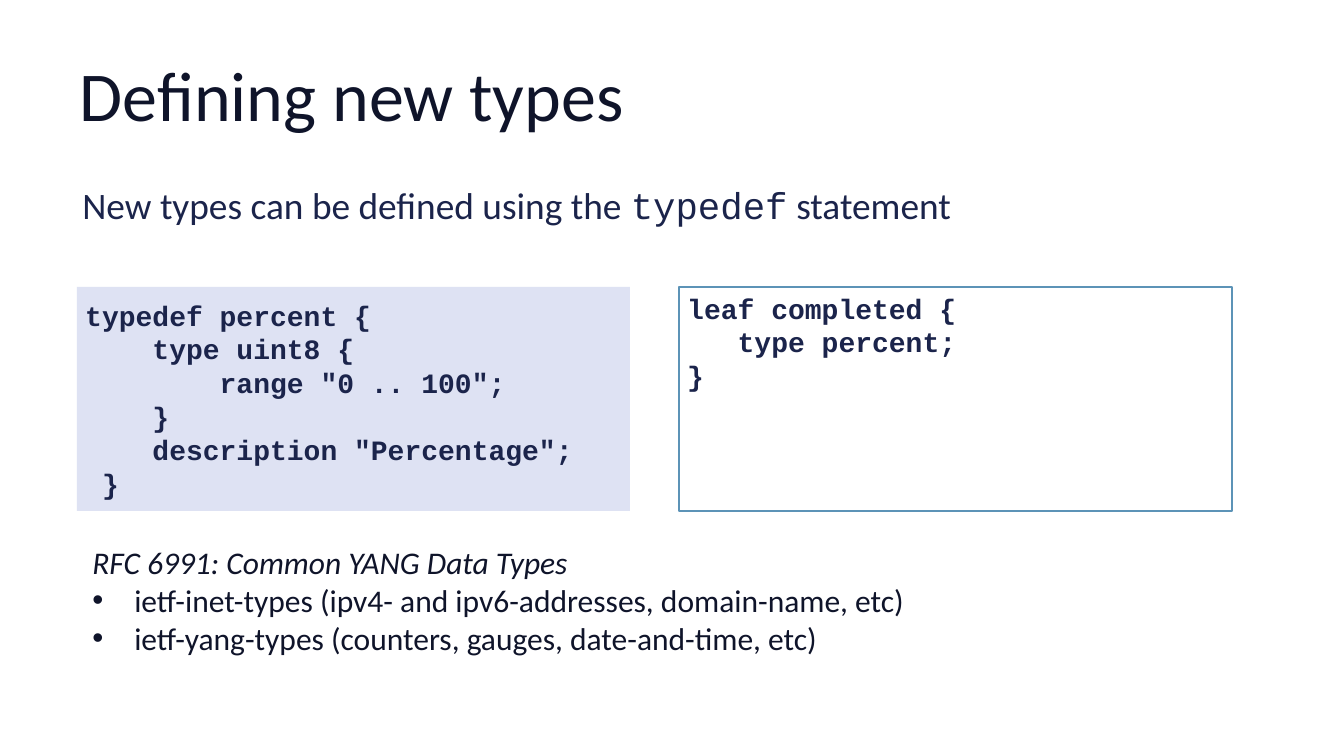
import pptx
import pptx.dml.color
import pptx.enum.shapes
import pptx.enum.text
import pptx.oxml.xmlchemy
import pptx.util
from lxml import etree

Pt = pptx.util.Pt
ANCHOR = pptx.enum.text.MSO_ANCHOR
COLOURS = {"dark": "0F142A", "navy": "1B244B", "pale": "DEE2F3", "border": "5C93B7"}
SANS, MONO = "Calibri", "Courier New"
DRAWING = "{http://schemas.openxmlformats.org/drawingml/2006/main}"

TYPEDEF_CODE = """typedef percent {
    type uint8 {
        range "0 .. 100";
    }
    description "Percentage";
 }"""
LEAF_CODE = """leaf completed {
   type percent;
}"""


def rgb(name):
    return pptx.dml.color.RGBColor.from_string(COLOURS[name])


class SlideBuilder:
    def __init__(self, slide):
        self.slide = slide

    def style_run(self, run, size, colour, face=SANS, bold=False, italic=False):
        font = run.font
        font.name, font.size = face, Pt(size)
        font.bold, font.italic = bold, italic
        font.color.rgb = rgb(colour)

    def set_frame(self, frame, anchor, inset_x=7.2, inset_y=3.6):
        frame.word_wrap = True
        frame.auto_size = pptx.enum.text.MSO_AUTO_SIZE.NONE
        frame.vertical_anchor = anchor
        frame.margin_left = frame.margin_right = Pt(inset_x)
        frame.margin_top = frame.margin_bottom = Pt(inset_y)

    def set_bullet(self, paragraph, margin, indent, bullet=None):
        """Set the left margin and first-line indent, with a bullet or none."""
        properties = paragraph._p.get_or_add_pPr()
        properties.set("marL", str(Pt(margin)))
        properties.set("indent", str(Pt(indent)))
        if bullet:
            etree.SubElement(properties, DRAWING + "buFont", typeface="Arial")
            etree.SubElement(properties, DRAWING + "buChar", char=bullet)
        else:
            etree.SubElement(properties, DRAWING + "buNone")

    def place(self, placeholder, left, top, width, height, anchor):
        placeholder.left, placeholder.top = Pt(left), Pt(top)
        placeholder.width, placeholder.height = Pt(width), Pt(height)
        self.set_frame(placeholder.text_frame, anchor, 10.8, 5.8)

    def title(self, text, *box):
        heading = self.slide.shapes.title
        self.place(heading, *box, ANCHOR.MIDDLE)
        heading.text_frame.text = text
        paragraph = heading.text_frame.paragraphs[0]
        paragraph.alignment = pptx.enum.text.PP_ALIGN.LEFT
        self.style_run(paragraph.runs[0], 60, "dark")

    def statement(self, parts, *box):
        """Fill the body with one line made of (text, face) parts."""
        body = self.slide.placeholders[1]
        self.place(body, *box, ANCHOR.TOP)
        paragraph = body.text_frame.paragraphs[0]
        self.set_bullet(paragraph, 18, 0)
        paragraph.space_before = Pt(0)
        for text, face in parts:
            run = paragraph.add_run()
            run.text = text
            self.style_run(run, 32, "navy", face)

    def code_box(self, code, left, top, width, height, anchor, fill=None, line=None):
        panel = self.slide.shapes.add_shape(
            pptx.enum.shapes.MSO_SHAPE.RECTANGLE, Pt(left), Pt(top), Pt(width), Pt(height))
        panel.shadow.inherit = False
        if fill:
            panel.fill.solid()
            panel.fill.fore_color.rgb = rgb(fill)
        else:
            panel.fill.background()
        if line:
            panel.line.color.rgb = rgb(line)
            panel.line.width = Pt(2.25)
        else:
            panel.line.fill.background()
        self.set_frame(panel.text_frame, anchor)
        panel.text_frame.text = code
        for paragraph in panel.text_frame.paragraphs:
            paragraph.alignment = pptx.enum.text.PP_ALIGN.LEFT
            self.style_run(paragraph.runs[0], 24, "navy", MONO, bold=True)

    def reference(self, heading, modules, left, top, width, height):
        """Add an italic heading with a bulleted list under it."""
        box = self.slide.shapes.add_textbox(Pt(left), Pt(top), Pt(width), Pt(height))
        self.set_frame(box.text_frame, ANCHOR.TOP)
        box.text_frame.text = "\n".join([heading, *modules])
        for number, paragraph in enumerate(box.text_frame.paragraphs):
            if number:
                self.set_bullet(paragraph, 36, -36, "•")
            self.style_run(paragraph.runs[0], 27, "dark", italic=number == 0)


def main():
    deck = pptx.Presentation()
    deck.slide_width, deck.slide_height = Pt(1152), Pt(648)
    builder = SlideBuilder(deck.slides.add_slide(deck.slide_layouts[1]))

    builder.title("Defining new types", 57.6, 26, 1036.8, 108)
    builder.statement(
        [("New types can be defined using the ", SANS), ("typedef", MONO), (" statement", SANS)],
        41.8, 150, 1036.8, 66)

    left, top, width, height, gap = 66, 246, 474, 192, 42
    builder.code_box(LEAF_CODE, left + width + gap, top, width, height,
                     ANCHOR.TOP, line="border")
    builder.code_box(TYPEDEF_CODE, left, top, width, height, ANCHOR.MIDDLE, fill="pale")

    builder.reference(
        "RFC 6991: Common YANG Data Types",
        ["ietf-inet-types (ipv4- and ipv6-addresses, domain-name, etc)",
         "ietf-yang-types (counters, gauges, date-and-time, etc)"],
        72, 462, 984, 40)
    deck.save("out.pptx")


if __name__ == "__main__":
    main()
